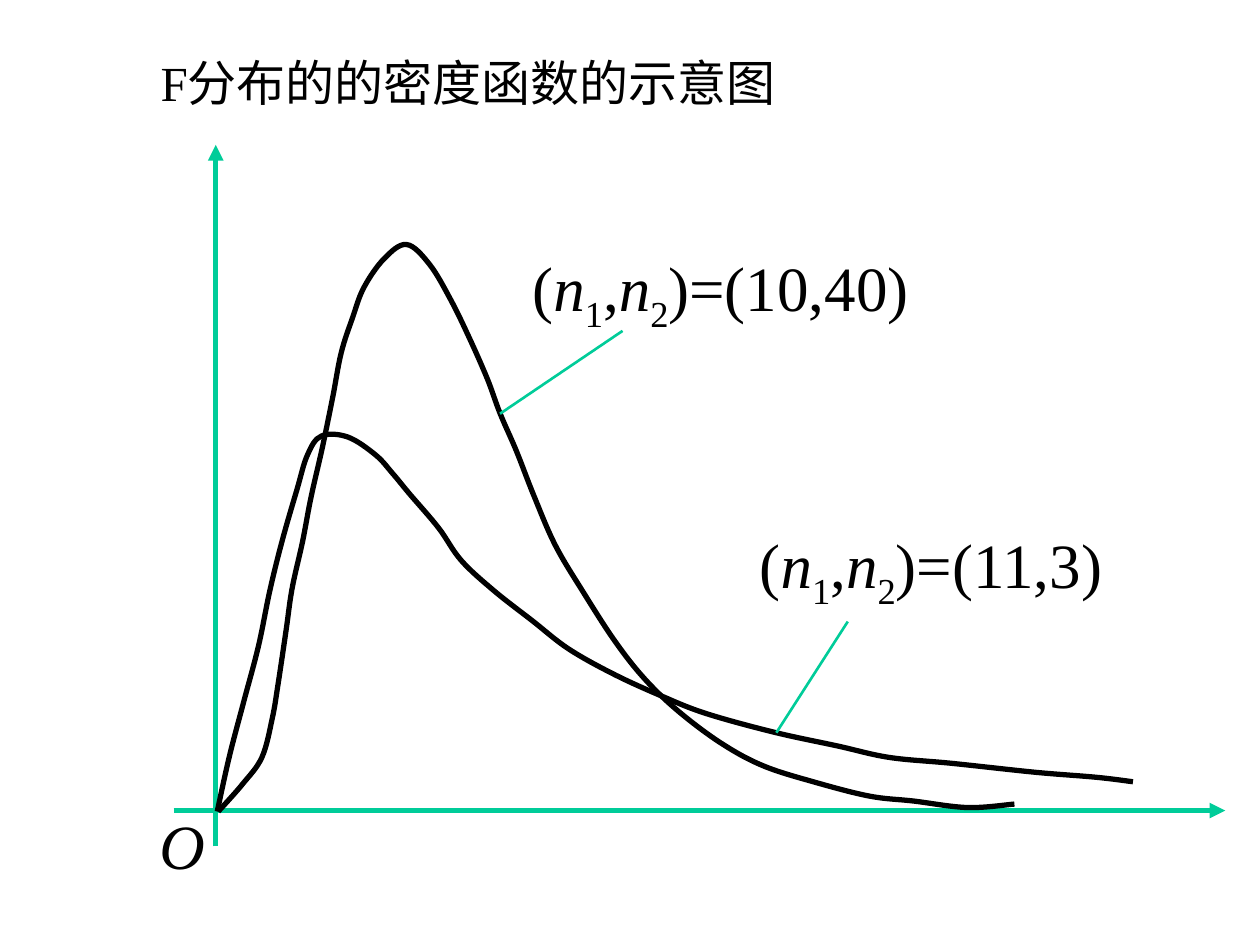
from lxml import etree
from pptx import Presentation
from pptx.dml.color import RGBColor
from pptx.enum.shapes import MSO_CONNECTOR
from pptx.enum.text import MSO_AUTO_SIZE, PP_ALIGN
from pptx.oxml.ns import qn
from pptx.util import Cm, Pt

STRAIGHT = MSO_CONNECTOR.STRAIGHT
GROW = MSO_AUTO_SIZE.SHAPE_TO_FIT_TEXT
LEFT, CENTER = PP_ALIGN.LEFT, PP_ALIGN.CENTER
FONT = "Times New Roman"
BLACK, GREEN = "000000", "00CC99"

TALL = [
    (4.4, 16.36), (4.88, 15.82), (5.28, 15.27), (5.49, 14.48), (5.61, 13.77),
    (5.77, 12.7), (5.89, 11.86), (6.1, 10.92), (6.27, 10.03), (6.5, 9.02),
    (6.71, 8), (6.88, 7.11), (7.11, 6.4), (7.34, 5.79), (7.75, 5.21),
    (8.2, 4.93), (8.66, 5.33), (9.09, 6.05), (9.47, 6.83), (9.83, 7.65),
    (10.08, 8.33), (10.41, 9.09), (10.77, 10.01), (11.2, 11), (11.76, 11.94),
    (12.4, 12.93), (13, 13.69), (13.69, 14.35), (14.55, 14.99), (15.39, 15.44),
    (16.43, 15.77), (17.53, 16.05), (18.42, 16.15), (19.51, 16.28), (20.45, 16.21),
]
LOW = [
    (4.38, 16.36), (4.62, 15.27), (4.9, 14.2), (5.21, 13.03), (5.44, 11.91),
    (5.69, 10.9), (5.99, 9.86), (6.2, 9.17), (6.48, 8.79), (7.01, 8.81),
    (7.57, 9.17), (7.92, 9.55), (8.26, 9.96), (8.84, 10.64), (9.3, 11.3),
    (9.96, 11.91), (10.74, 12.52), (11.46, 13.08), (12.37, 13.59), (13.31, 14.02),
    (14.22, 14.38), (15.6, 14.76), (16.89, 15.04), (17.93, 15.27), (19.2, 15.39),
    (20.88, 15.57), (22.1, 15.67), (22.84, 15.76),
]


def color(code):
    """Return the colour for a hex string."""
    return RGBColor.from_string(code)


def add_line(slide, start, end, width, arrow=False):
    """Draw a straight green line, with an arrowhead at its end if asked."""
    line = slide.shapes.add_connector(STRAIGHT, *map(Cm, start + end))
    line.line.color.rgb = color(GREEN)
    line.line.width = Pt(width)
    props = line._element.spPr
    if arrow:
        etree.SubElement(props.find(qn("a:ln")), qn("a:tailEnd"), type="triangle")
    etree.SubElement(props, qn("a:effectLst"))


def bend(shape):
    """Turn the straight segments of an outline into smooth Bezier curves."""
    geom = shape._element.spPr.find(qn("a:custGeom"))
    knots = [(int(pt.get("x")), int(pt.get("y"))) for pt in geom.iter(qn("a:pt"))]
    ends = [knots[0], *knots, knots[-1]]
    quads = zip(ends, ends[1:], ends[2:], ends[3:])
    for seg, (a, b, c, d) in zip(list(geom.iter(qn("a:lnTo"))), quads):
        grip = [q + (r - p) / 6 for p, q, r in zip(a, b, c)]
        pull = [q - (r - p) / 6 for p, q, r in zip(b, c, d)]
        cubic = etree.Element(qn("a:cubicBezTo"))
        for x, y in (grip, pull, c):
            etree.SubElement(cubic, qn("a:pt"), x=str(round(x)), y=str(round(y)))
        seg.getparent().replace(seg, cubic)


def add_curve(slide, knots):
    """Draw an open black curve through the knots."""
    first, *rest = [(Cm(x), Cm(y)) for x, y in knots]
    pen = slide.shapes.build_freeform(*first)
    pen.add_line_segments(rest, close=False)
    curve = pen.convert_to_shape()
    bend(curve)
    curve.shadow.inherit = False
    curve.fill.background()
    curve.line.color.rgb = color(BLACK)
    curve.line.width = Pt(3)


def add_text(slide, place, runs, size=36, align=CENTER, wrap=True):
    """Add a text box from runs of text and style: i italic, s subscript."""
    frame = slide.shapes.add_textbox(*map(Cm, place)).text_frame
    frame.word_wrap = wrap
    frame.auto_size = GROW
    par = frame.paragraphs[0]
    par.alignment = align
    for text, style in runs:
        run = par.add_run()
        run.text = text
        run.font.name = FONT
        run.font.size = Pt(size)
        run.font.color.rgb = color(BLACK)
        run.font.italic = style == "i"
        if style == "s":
            run._r.get_or_add_rPr().set("baseline", "-25000")


def add_label(slide, place, pair):
    """Add the label that gives a curve's degrees of freedom."""
    add_text(slide, place, [("(", ""), ("n", "i"), ("1", "s"), (",", ""),
                            ("n", "i"), ("2", "s"), (f")=({pair})", "")])


def main():
    """Build the slide and save it."""
    deck = Presentation()
    deck.slide_width, deck.slide_height = Cm(25.4), Cm(19.05)
    slide = deck.slides.add_slide(deck.slide_layouts[6])
    add_text(slide, (2.99, 0.93, 14.4, 1.45), [("F分布的的密度函数的示意图", "")], 28, LEFT)
    add_line(slide, (3.5, 16.34), (24.7, 16.34), 3, True)
    add_line(slide, (4.35, 17.06), (4.35, 2.92), 3, True)
    add_curve(slide, TALL)
    add_curve(slide, LOW)
    add_label(slide, (10.36, 4.88, 8.33, 2.01), "10,40")
    add_line(slide, (10.08, 8.34), (12.55, 6.67), 1.5)
    add_label(slide, (14.7, 10.47, 8.13, 2.01), "11,3")
    add_line(slide, (15.65, 14.77), (17.09, 12.53), 1.5)
    add_text(slide, (2.96, 16.13, 1.42, 1.78), [("O", "i")], wrap=False)
    deck.save("out.pptx")


if __name__ == "__main__":
    main()
